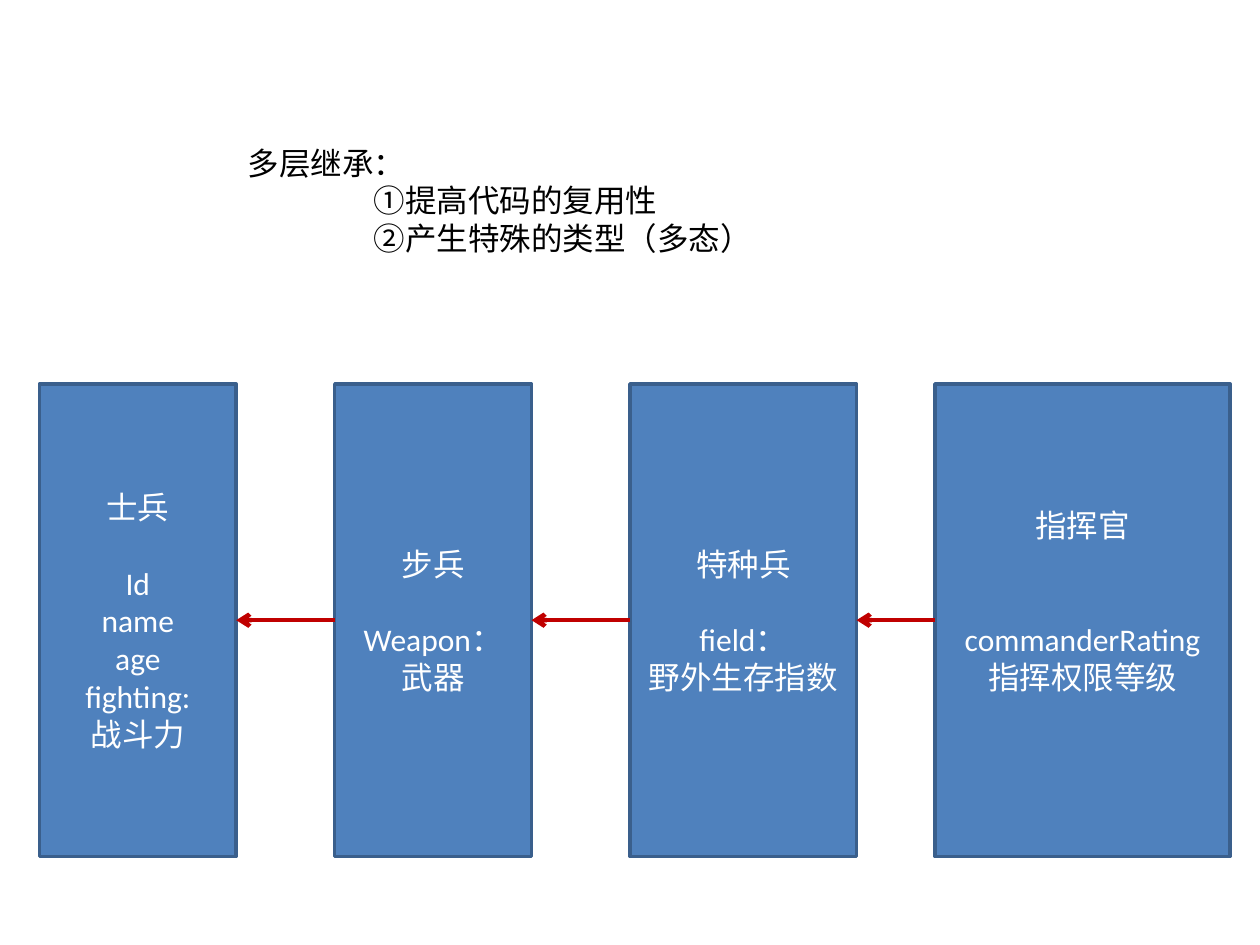
from lxml import etree
from pptx import Presentation
from pptx.dml.color import RGBColor
from pptx.enum import shapes, text
from pptx.oxml.ns import qn
from pptx.util import Pt

# Content: left, width, class name, members, blank lines above and below members
HEAD = "多层继承："
POINTS = ["①提高代码的复用性", "②产生特殊的类型（多态）"]
RANKS = [
    (22.5, 112.5, "士兵", ["Id", "name", "age", "fighting:", "战斗力"], 1, 0),
    (191.25, 112.5, "步兵", ["Weapon：", "武器"], 1, 0),
    (360, 129.5, "特种兵", ["field：", "野外生存指数"], 1, 0),
    (534.25, 168.75, "指挥官", ["commanderRating", "指挥权限等级"], 2, 1),
]
TOP, TALL = 219.4, 270
LINE = 21.7  # height of one text line
INSET = 3.6


class Theme:
    font, size = "Calibri", 18
    fill = RGBColor(0x4F, 0x81, 0xBD)
    edge = RGBColor(0x3A, 0x5F, 0x8C)
    arrow = RGBColor(0xC0, 0, 0)
    light = RGBColor(0xFF, 0xFF, 0xFF)
    dark = RGBColor(0, 0, 0)


def write(frame, lines, color, align):
    frame.word_wrap = True
    frame.text = "\n".join(lines)
    for para in frame.paragraphs:
        para.alignment = align
        for run in para.runs:
            run.font.name, run.font.size = Theme.font, Pt(Theme.size)
            run.font.color.rgb = color


def add_box(slide, left, width, name, fields, above, below):
    box = slide.shapes.add_shape(shapes.MSO_SHAPE.RECTANGLE,
                                 Pt(left), Pt(TOP), Pt(width), Pt(TALL))
    box.shadow.inherit = False
    box.fill.solid()
    box.fill.fore_color.rgb = Theme.fill
    box.line.color.rgb = Theme.edge
    box.line.width = Pt(2)
    frame = box.text_frame
    write(frame, [name, *fields], Theme.light, text.PP_ALIGN.CENTER)
    frame.vertical_anchor = text.MSO_ANCHOR.MIDDLE
    frame.paragraphs[1].space_before = Pt(above * LINE)
    frame.margin_bottom = Pt(INSET + below * LINE)
    return box


def add_arrow(slide, child, parent):
    link = slide.shapes.add_connector(shapes.MSO_CONNECTOR.STRAIGHT, 0, 0, 0, 0)
    link.begin_connect(child, 1)
    link.end_connect(parent, 3)
    link.line.color.rgb = Theme.arrow
    link.line.width = Pt(2.5)
    etree.SubElement(link.line._get_or_add_ln(), qn("a:tailEnd"), type="arrow")
    etree.SubElement(link._element.spPr, qn("a:effectLst"))


def main():
    deck = Presentation()
    deck.slide_width, deck.slide_height = Pt(720), Pt(540)
    slide = deck.slides.add_slide(deck.slide_layouts[6])

    # Class boxes, then an arrow from each class to its parent
    boxes = [add_box(slide, *rank) for rank in RANKS]
    for parent, child in zip(boxes, boxes[1:]):
        add_arrow(slide, child, parent)

    # Heading with indented points
    note = slide.shapes.add_textbox(Pt(134.6), Pt(78.5), Pt(461.5), Pt(72.7))
    frame = note.text_frame
    write(frame, [HEAD, *POINTS], Theme.dark, text.PP_ALIGN.LEFT)
    frame.auto_size = text.MSO_AUTO_SIZE.SHAPE_TO_FIT_TEXT
    for para in frame.paragraphs[1:]:
        para._p.get_or_add_pPr().set("marL", str(Pt(72)))

    deck.save("out.pptx")


if __name__ == "__main__":
    main()
